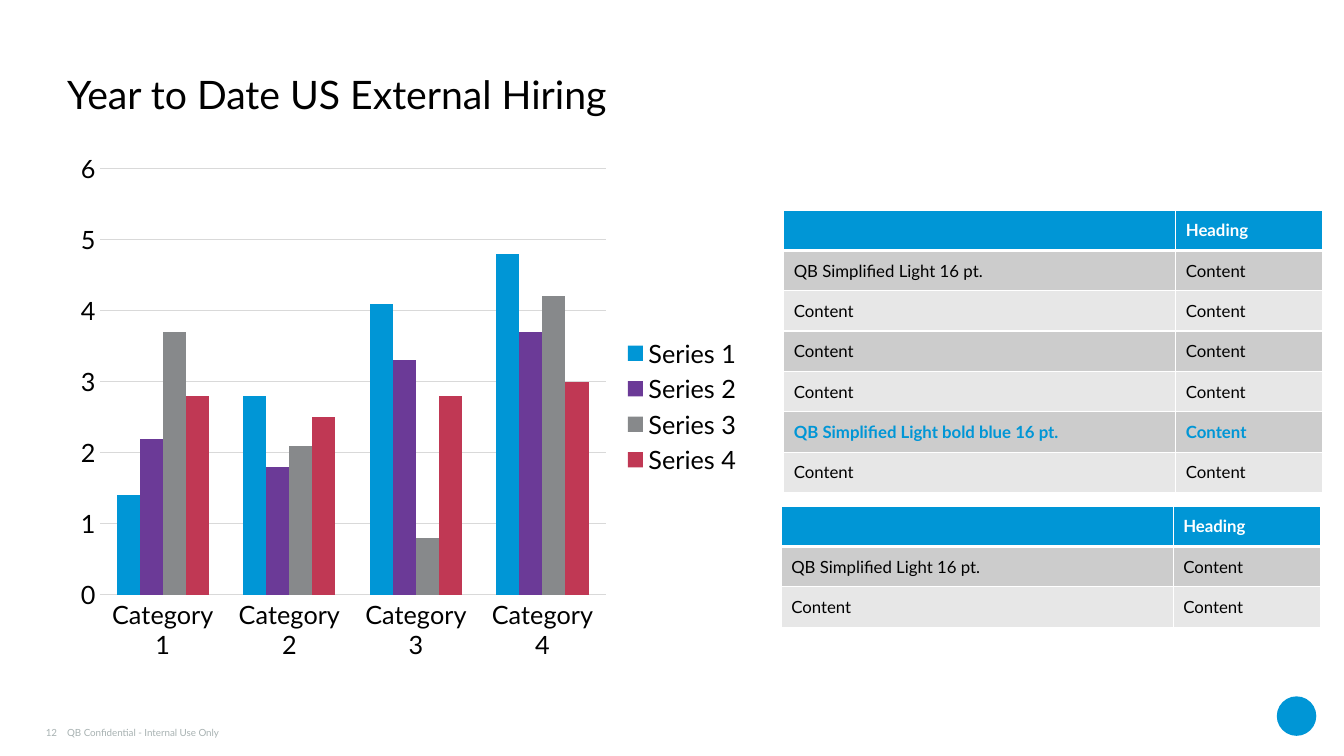
from lxml import etree
from pptx import Presentation
from pptx.chart.data import CategoryChartData
from pptx.dml.color import RGBColor
from pptx.enum.chart import XL_CHART_TYPE, XL_LEGEND_POSITION, XL_TICK_MARK
from pptx.enum.shapes import MSO_SHAPE
from pptx.enum.text import MSO_ANCHOR, PP_ALIGN
from pptx.oxml.ns import qn
from pptx.util import Inches, Pt

COLUMN = XL_CHART_TYPE.COLUMN_CLUSTERED
LEGEND_RIGHT = XL_LEGEND_POSITION.RIGHT
NO_TICK = XL_TICK_MARK.NONE
OVAL = MSO_SHAPE.OVAL
BOTTOM, MIDDLE = MSO_ANCHOR.BOTTOM, MSO_ANCHOR.MIDDLE
LEFT, RIGHT = PP_ALIGN.LEFT, PP_ALIGN.RIGHT

FONT = "Lato"
BLACK = RGBColor(0x00, 0x00, 0x00)
WHITE = RGBColor(0xFF, 0xFF, 0xFF)
BLUE = RGBColor(0x00, 0x96, 0xD6)
PURPLE = RGBColor(0x6B, 0x3A, 0x97)
GRAY = RGBColor(0x87, 0x89, 0x8B)
RED = RGBColor(0xC0, 0x38, 0x54)
GRID_GRAY = RGBColor(0xD9, 0xD9, 0xD9)
FOOTER_GRAY = RGBColor(0xA8, 0xB2, 0xB2)
BANDS = RGBColor(0xCC, 0xCC, 0xCC), RGBColor(0xE7, 0xE7, 0xE7)

# The slide is a grid of 80 columns by 90 rows.
SLIDE_W, SLIDE_H = Inches(13.33), Inches(7.5)
COL, ROW = SLIDE_W / 80, SLIDE_H / 90

CATEGORIES = [f"Category {n}" for n in range(1, 5)]
SERIES = [
    ("Series 1", (1.4, 2.8, 4.1, 4.8), BLUE),
    ("Series 2", (2.2, 1.8, 3.3, 3.7), PURPLE),
    ("Series 3", (3.7, 2.1, 0.8, 4.2), GRAY),
    ("Series 4", (2.8, 2.5, 2.8, 3), RED),
]
HEADER = ("", "Heading")
PLAIN = ("Content", "Content")
SAMPLE = ("QB Simplified Light 16 pt.", "Content")
HIGHLIGHT = ("QB Simplified Light bold blue 16 pt.", "Content")
LONG_TABLE = [HEADER, SAMPLE, PLAIN, PLAIN, PLAIN, HIGHLIGHT, PLAIN]
SHORT_TABLE = [HEADER, SAMPLE, PLAIN]


def grid_box(col, row, cols, rows):
    return int(col * COL), int(row * ROW), int(cols * COL), int(rows * ROW)


def set_font(font, size, color, bold=False):
    font.name, font.size, font.bold = FONT, Pt(size), bold
    font.color.rgb = color


def add_text(slide, box, text, size, color, align=LEFT, spacing=1.0):
    tf = slide.shapes.add_textbox(*box).text_frame
    tf.margin_left = tf.margin_right = tf.margin_top = tf.margin_bottom = 0
    tf.word_wrap = True
    tf.vertical_anchor = BOTTOM
    p = tf.paragraphs[0]
    p.alignment, p.line_spacing = align, spacing
    r = p.add_run()
    r.text = text
    set_font(r.font, size, color)


def add_hiring_chart(slide, box):
    data = CategoryChartData()
    data.categories = CATEGORIES
    for name, values, _ in SERIES:
        data.add_series(name, values)
    chart = slide.shapes.add_chart(COLUMN, *box, data).chart
    set_font(chart.font, 18, BLACK)
    chart.has_title = False
    chart.has_legend = True
    chart.legend.position = LEGEND_RIGHT
    chart.legend.include_in_layout = False
    set_font(chart.legend.font, 18, BLACK)

    plot = chart.plots[0]
    plot.gap_width, plot.vary_by_categories = 150, False
    for series, (_, _, color) in zip(plot.series, SERIES):
        series.format.fill.solid()
        series.format.fill.fore_color.rgb = color

    cat_axis, val_axis = chart.category_axis, chart.value_axis
    for axis in (cat_axis, val_axis):
        axis.major_tick_mark = axis.minor_tick_mark = NO_TICK
        set_font(axis.tick_labels.font, 18, BLACK)
    val_axis.minimum_scale, val_axis.maximum_scale, val_axis.major_unit = 0, 6, 1
    val_axis.format.line.fill.background()
    for line in (cat_axis.format.line, val_axis.major_gridlines.format.line):
        line.color.rgb = GRID_GRAY
        line.width = Pt(0.75)


def set_borders(cell, top, bottom):
    """Draw white cell borders; top and bottom are widths in points."""
    tc_pr = cell._tc.get_or_add_tcPr()
    widths = {"a:lnL": 1, "a:lnR": 1, "a:lnT": top, "a:lnB": bottom}
    for i, (tag, width) in enumerate(widths.items()):
        ln = etree.Element(qn(tag), w=str(Pt(width)))
        fill = etree.SubElement(ln, qn("a:solidFill"))
        etree.SubElement(fill, qn("a:srgbClr"), val=str(WHITE))
        tc_pr.insert(i, ln)


def fill_cell(cell, text, fill, color, bold):
    cell.fill.solid()
    cell.fill.fore_color.rgb = fill
    cell.vertical_anchor = MIDDLE
    cell.margin_left = cell.margin_right = Inches(0.1)
    cell.margin_top = cell.margin_bottom = Inches(0.1)
    p = cell.text_frame.paragraphs[0]
    if text:
        r = p.add_run()
        r.text = text
        set_font(r.font, 12, color, bold)
    else:
        p._p.get_or_add_endParaRPr().set("sz", "1200")


def add_content_table(slide, box, rows):
    left, top, width, height = box
    table = slide.shapes.add_table(len(rows), 2, *box).table
    table.columns[0].width = int(width * 0.727)
    table.columns[1].width = width - table.columns[0].width
    for i, texts in enumerate(rows):
        table.rows[i].height = height // len(rows)
        if i == 0:
            style = BLUE, WHITE, True
        else:
            marked = texts == HIGHLIGHT
            style = BANDS[(i - 1) % 2], BLUE if marked else BLACK, marked
        for j, text in enumerate(texts):
            cell = table.cell(i, j)
            fill_cell(cell, text, *style)
            set_borders(cell, 3 if i == 1 else 1, 3 if i == 0 else 1)


def add_footer(slide, row):
    add_text(slide, grid_box(1.4, row, 2, 2.9), "12", 7, FOOTER_GRAY, RIGHT)
    add_text(slide, grid_box(4, row, 30, 2.9),
             "QB Confidential - Internal Use Only", 7, FOOTER_GRAY)
    left, top, size, _ = grid_box(76, row - 2.1, 2.35, 0)
    sp = slide.shapes.add_shape(OVAL, left, top, size, size)
    sp.shadow.inherit = False
    sp.fill.solid()
    sp.fill.fore_color.rgb = BLUE
    sp.line.fill.background()


def main():
    prs = Presentation()
    prs.slide_width, prs.slide_height = SLIDE_W, SLIDE_H
    slide = prs.slides.add_slide(prs.slide_layouts[6])
    add_text(slide, grid_box(4, 4, 72, 10), "Year to Date US External Hiring",
             28, BLACK, spacing=0.9)
    add_hiring_chart(slide, grid_box(4, 17, 40.8, 62.8))
    add_content_table(slide, grid_box(46.65, 25, 32.1, 33.6), LONG_TABLE)
    add_content_table(slide, grid_box(46.5, 60.25, 32.1, 14.4), SHORT_TABLE)
    add_footer(slide, 85)
    prs.save("out.pptx")


if __name__ == "__main__":
    main()
